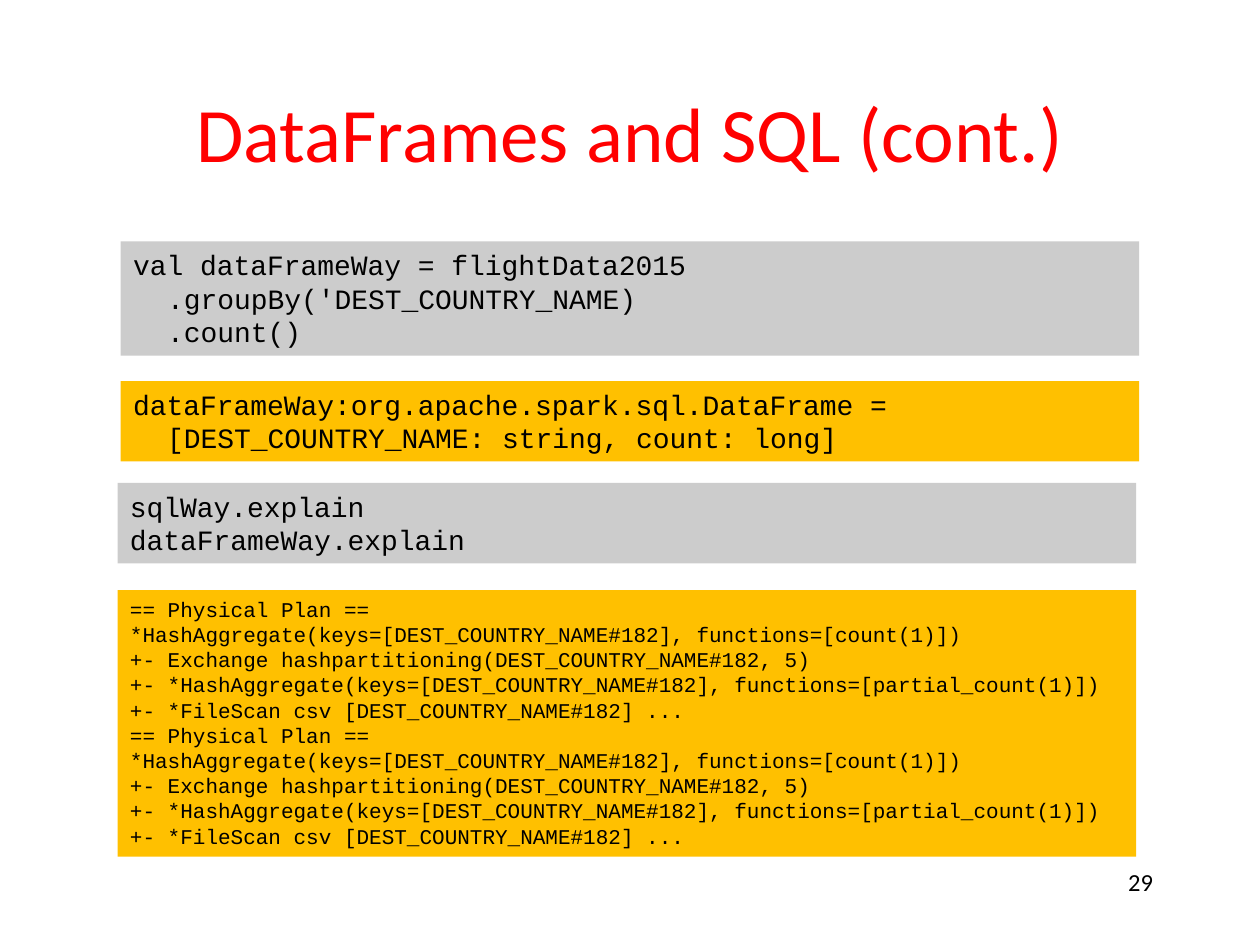
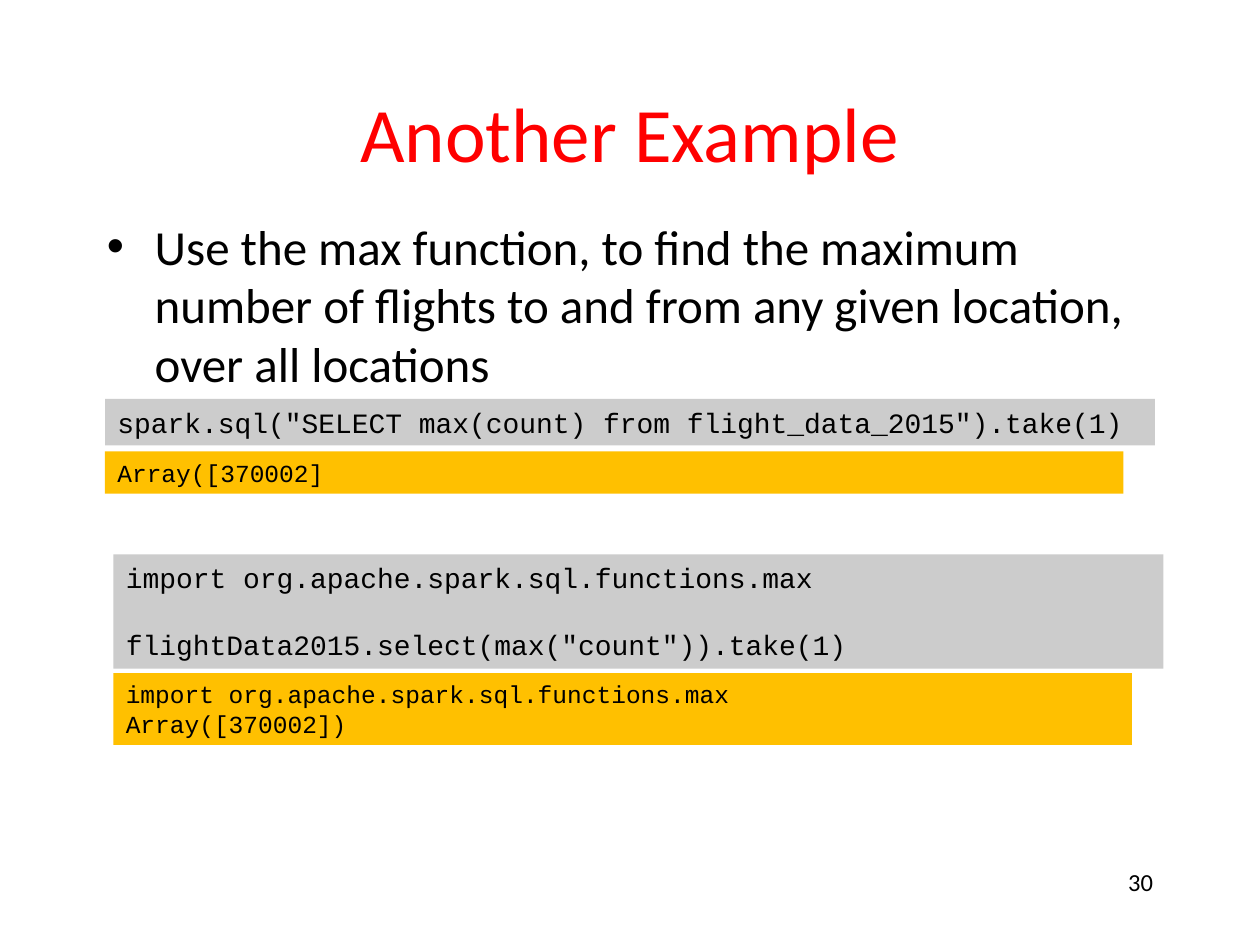
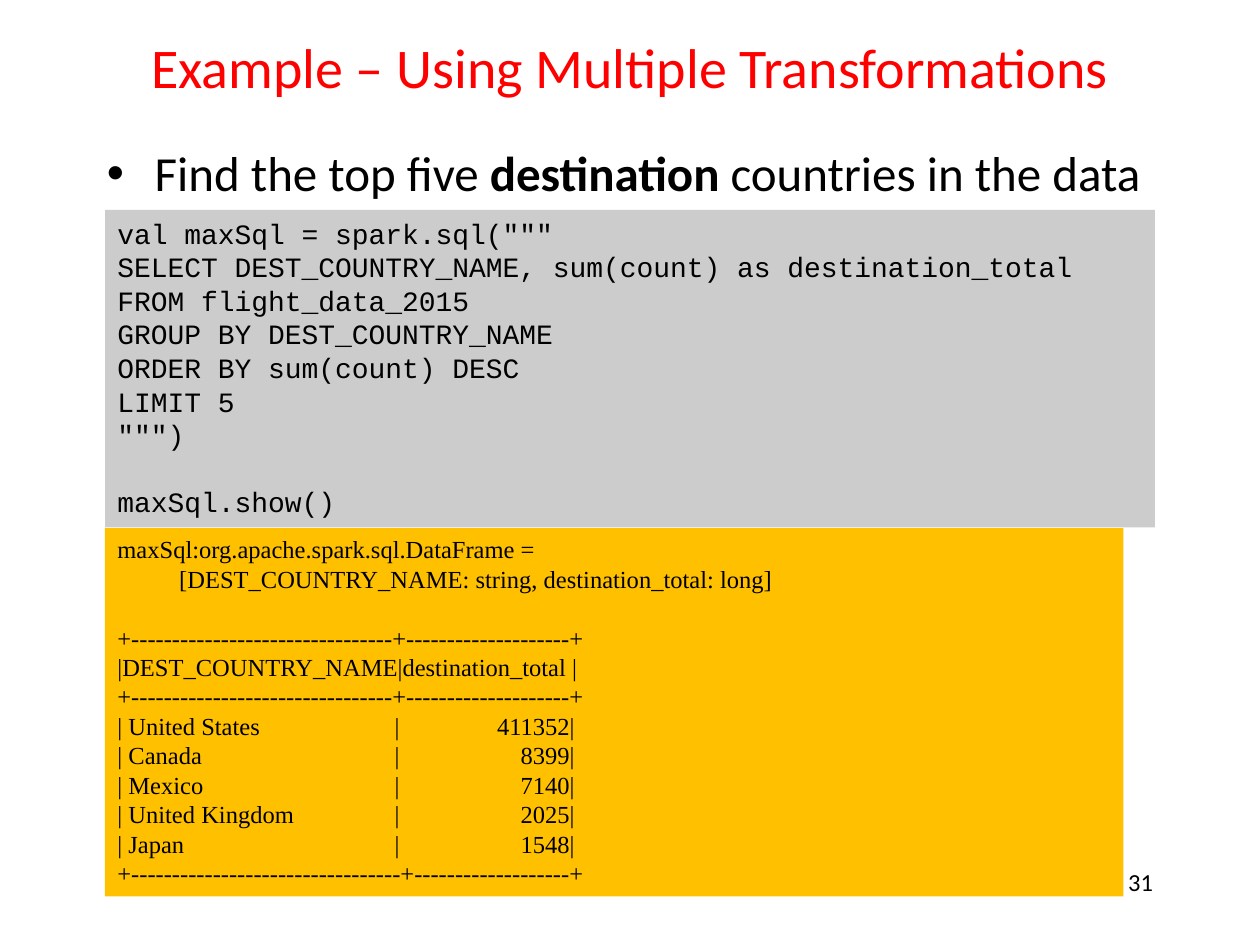
from dataclasses import dataclass
from typing import Optional

from lxml.etree import SubElement
from pptx import Presentation
from pptx.dml.color import RGBColor
from pptx.enum.shapes import MSO_SHAPE
from pptx.enum.text import MSO_ANCHOR, PP_ALIGN
from pptx.oxml.ns import qn
from pptx.util import Emu, Inches, Pt

# Grid: 120 columns by 90 rows on a 10 by 7.5 inch slide
CELL = Inches(10) // 120


@dataclass(frozen=True)
class Theme:
    red: RGBColor = RGBColor(0xFF, 0x00, 0x00)
    ink: RGBColor = RGBColor(0x00, 0x00, 0x00)
    gray: RGBColor = RGBColor(0xCC, 0xCC, 0xCC)
    gold: RGBColor = RGBColor(0xFF, 0xC0, 0x00)
    sans: str = "Calibri"
    mono: str = "Courier New"
    serif: str = "Times New Roman"
    title: int = 44
    small_title: int = 32
    body: int = 28
    code: int = 16
    reply: int = 14
    plan: int = 12
    page: int = 14
    pitch: float = 1.2  # line pitch of code, as a share of its size
    fit: float = 1.21  # box height per line, as a share of the size


THEME = Theme()


@dataclass(frozen=True)
class Box:
    col: float
    row: float
    wide: float
    high: float


@dataclass(frozen=True)
class Span:
    text: str
    bold: bool = False


@dataclass(frozen=True)
class Line:
    text: str
    indent: float = 0  # inches
    skip: int = 0  # lines left free above


@dataclass(frozen=True)
class Block:
    col: float
    row: float
    wide: float
    fill: RGBColor
    lines: tuple[Line, ...]
    size: int = THEME.code
    font: str = THEME.mono
    tabs: tuple[tuple[float, str], ...] = ()


@dataclass(frozen=True)
class Point:
    row: float
    spans: tuple[Span, ...]


@dataclass(frozen=True)
class Page:
    title: str
    blocks: tuple[Block, ...]
    point: Optional[Point] = None
    head: Box = Box(9, 7, 102, 11)
    size: int = THEME.title


def rows(text: str) -> tuple[Line, ...]:
    """Turn plain text into lines without indents."""
    return tuple(Line(row) for row in text.splitlines())


def place(box: Box) -> list[Emu]:
    return [Emu(round(n * CELL)) for n in (box.col, box.row, box.wide, box.high)]


def style(run, size: int, font: str = THEME.sans, ink: RGBColor = THEME.ink,
          bold: bool = False) -> None:
    run.font.size, run.font.name, run.font.bold = Pt(size), font, bold
    run.font.color.rgb = ink


def add_text(slide, box: Box, spans: tuple[Span, ...], size: int,
             ink: RGBColor = THEME.ink, align: PP_ALIGN = PP_ALIGN.LEFT,
             anchor: MSO_ANCHOR = MSO_ANCHOR.TOP):
    frame = slide.shapes.add_textbox(*place(box)).text_frame
    frame.word_wrap, frame.vertical_anchor = True, anchor
    para = frame.paragraphs[0]
    para.alignment = align
    for span in spans:
        run = para.add_run()
        run.text = span.text
        style(run, size, ink=ink, bold=span.bold)
    return para


def add_point(slide, point: Point) -> None:
    box = Box(9, point.row, 102, 80 - point.row)
    props = add_text(slide, box, point.spans, THEME.body)._p.get_or_add_pPr()
    props.set("marL", str(Inches(0.38)))
    props.set("indent", str(-Inches(0.38)))
    SubElement(props, qn("a:buFont"), typeface="Arial")
    SubElement(props, qn("a:buChar"), char="•")


def add_block(slide, block: Block) -> None:
    count = sum(1 + line.skip for line in block.lines)
    high = (count * THEME.fit * block.size / 72 + 0.1) * 12
    shape = slide.shapes.add_shape(
        MSO_SHAPE.RECTANGLE, *place(Box(block.col, block.row, block.wide, high)))
    shape.shadow.inherit = False
    shape.fill.solid()
    shape.fill.fore_color.rgb = block.fill
    shape.line.fill.background()
    frame = shape.text_frame
    frame.word_wrap, frame.vertical_anchor = True, MSO_ANCHOR.TOP
    frame.text = "\n".join(line.text for line in block.lines)
    pitch = Pt(THEME.pitch * block.size)
    for para, line in zip(frame.paragraphs, block.lines):
        para.alignment, para.line_spacing = PP_ALIGN.LEFT, pitch
        para.space_before = Emu(line.skip * pitch)
        props = para._p.get_or_add_pPr()
        props.set("marL", str(Inches(line.indent)))
        if "\t" in line.text:
            stops = SubElement(props, qn("a:tabLst"))
            for spot, side in block.tabs:
                SubElement(stops, qn("a:tab"), pos=str(Inches(spot)), algn=side)
        for run in para.runs:
            style(run, block.size, block.font)


def add_page(deck, page: Page, number: int) -> None:
    slide = deck.slides.add_slide(deck.slide_layouts[6])
    add_text(slide, page.head, (Span(page.title),), page.size, THEME.red,
             PP_ALIGN.CENTER, MSO_ANCHOR.MIDDLE)
    if page.point:
        add_point(slide, page.point)
    add_text(slide, Box(86, 82, 25, 6), (Span(str(number)),), THEME.page,
             align=PP_ALIGN.RIGHT)
    for block in page.blocks:
        add_block(slide, block)


# Content
STEP = 0.27  # two code letters
PLAN = """== Physical Plan ==
*HashAggregate(keys=[DEST_COUNTRY_NAME#182], functions=[count(1)])
+- Exchange hashpartitioning(DEST_COUNTRY_NAME#182, 5)
+- *HashAggregate(keys=[DEST_COUNTRY_NAME#182], functions=[partial_count(1)])
+- *FileScan csv [DEST_COUNTRY_NAME#182] ...
"""
QUERY = '''val maxSql = spark.sql("""
SELECT DEST_COUNTRY_NAME, sum(count) as destination_total
FROM flight_data_2015
GROUP BY DEST_COUNTRY_NAME
ORDER BY sum(count) DESC
LIMIT 5
""")'''
RULE = f"+{'-' * 32}+{'-' * 20}+"
TOTALS = (("United States", 411352), ("Canada", 8399), ("Mexico", 7140),
          ("United Kingdom", 2025), ("Japan", 1548))

PAGES = (
    Page("DataFrames and SQL (cont.)", (
        Block(11.5, 23, 97, THEME.gray, (
            Line("val dataFrameWay = flightData2015"),
            Line(".groupBy('DEST_COUNTRY_NAME)", STEP),
            Line(".count()", STEP))),
        Block(11.2, 46, 97, THEME.gray,
              rows("sqlWay.explain\ndataFrameWay.explain")),
        Block(11.5, 36.3, 97, THEME.gold, (
            Line("dataFrameWay:org.apache.spark.sql.DataFrame ="),
            Line("[DEST_COUNTRY_NAME: string, count: long]", STEP))),
        Block(11.2, 56.2, 97, THEME.gold, rows(PLAN * 2), THEME.plan),
    )),
    Page("Another Example", (
        Block(10, 38, 100, THEME.gray,
              rows('spark.sql("SELECT max(count) from flight_data_2015").take(1)')),
        Block(10, 43, 97, THEME.gold, rows("Array([370002]"), THEME.reply),
        Block(10.8, 52.8, 100, THEME.gray, (
            Line("import org.apache.spark.sql.functions.max"),
            Line('flightData2015.select(max("count")).take(1)', skip=1))),
        Block(10.8, 64.1, 97, THEME.gold,
              rows("import org.apache.spark.sql.functions.max\nArray([370002])"),
              THEME.reply),
    ), Point(20, (Span("Use the max function, to find the maximum number of flights "
                       "to and from any given location, over all locations"),))),
    Page("Example – Using Multiple Transformations", (
        Block(10, 20, 100, THEME.gray,
              rows(QUERY) + (Line("maxSql.show()", skip=1),)),
        Block(10, 50.3, 97, THEME.gold, (
            Line("maxSql:org.apache.spark.sql.DataFrame ="),
            Line("[DEST_COUNTRY_NAME: string, destination_total: long]", 0.49),
            Line(RULE, skip=1),
            Line("|DEST_COUNTRY_NAME|destination_total |"),
            Line(RULE),
            *(Line(f"| {land}\t|\t{total}|") for land, total in TOTALS),
            Line(f"+{'-' * 33}+{'-' * 19}+"),
        ), THEME.reply, THEME.serif, ((2.2, "l"), (3.63, "r"))),
    ), Point(13, (Span("Find the top five "), Span("destination", True),
                  Span(" countries in the data"))),
        Box(9, 2.5, 102, 7.5), THEME.small_title),
)


def main() -> None:
    deck = Presentation()
    deck.slide_width, deck.slide_height = 120 * CELL, 90 * CELL
    for number, page in enumerate(PAGES, 29):
        add_page(deck, page, number)
    deck.save("out.pptx")


if __name__ == "__main__":
    main()
